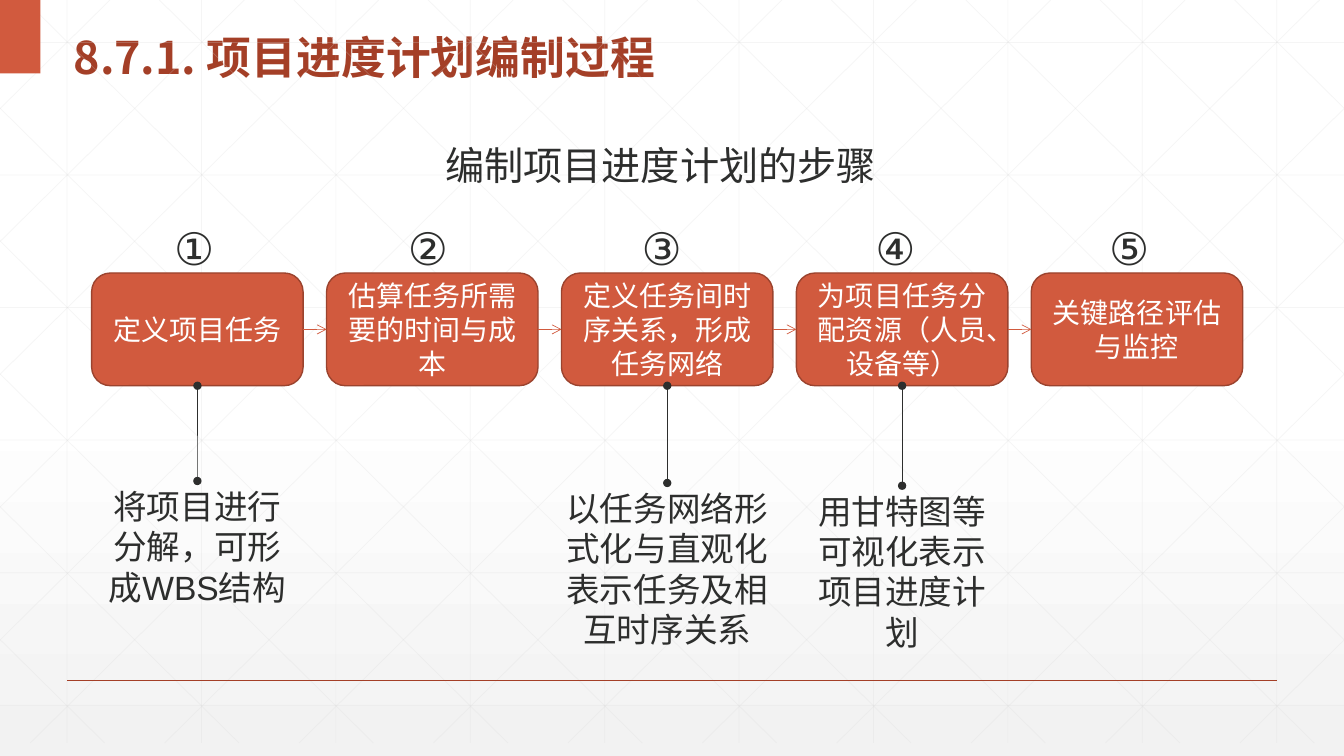
from dataclasses import dataclass

from lxml.etree import SubElement
from pptx import Presentation
from pptx.dml.color import RGBColor as RGB
from pptx.enum.shapes import MSO_CONNECTOR as LineKind, MSO_SHAPE as Shape
from pptx.enum.text import MSO_ANCHOR as Anchor, MSO_AUTO_SIZE as AutoSize, PP_ALIGN as Align
from pptx.oxml.ns import qn
from pptx.util import Cm, Pt

TITLE = "8.7.1. 项目进度计划编制过程"
SUBTITLE = "编制项目进度计划的步骤"
STEPS = [
    ("①", "定义项目任务"),
    ("②", "估算任务所需要的时间与成本"),
    ("③", "定义任务间时序关系，形成任务网络"),
    ("④", "为项目任务分配资源（人员、设备等）"),
    ("⑤", "关键路径评估与监控"),
]
NOTES = [
    {"step": 0, "text": "将项目进行分解，可形成WBS结构", "top": 12.12, "width": 5.46, "height": 3.33},
    {"step": 2, "text": "以任务网络形式化与直观化表示任务及相互时序关系", "top": 12.17, "width": 5.87, "height": 4.37},
    {"step": 3, "text": "用甘特图等可视化表示项目进度计划", "top": 12.24, "width": 5.46, "height": 4.37},
]


@dataclass(frozen=True)
class Theme:
    accent: RGB = RGB.from_string("D15A3E")
    border: RGB = RGB.from_string("9B432E")
    heading: RGB = RGB.from_string("A43F27")
    ink: RGB = RGB.from_string("2D2E2D")
    white: RGB = RGB.from_string("FFFFFF")
    haze: RGB = RGB.from_string("F2F2F2")
    lattice: RGB = RGB.from_string("D9D9D9")
    latin: str = "Arial"
    cjk: str = "Noto Sans CJK SC"
    title: int = 32
    subtitle: int = 28
    number: int = 32
    step: int = 20
    note: int = 24


theme = Theme()
WIDTH, HEIGHT = 33.87, 19.05
LATTICE_HEIGHT, LATTICE_RUN = 18.72, 18.94
LATTICE_DX, LATTICE_DY = 3.387, 3.34
BOX_LEFT, BOX_TOP, BOX_W, BOX_H, BOX_PITCH = 2.31, 6.88, 5.33, 2.84, 5.92
NUM_LEFT, NUM_TOP, NUM_W, NUM_H, NUM_PITCH = 4.14, 5.44, 1.65, 1.63, 5.89


def add_line(shapes, start, end, color, width, head=None, tail=None, alpha=None):
    points = [Cm(v) for v in (*start, *end)]
    sp = shapes.add_connector(LineKind.STRAIGHT, *points)
    sp.line.color.rgb = color
    sp.line.width = Pt(width)
    ln = sp.line._ln
    if alpha:
        SubElement(ln.find(".//" + qn("a:srgbClr")), qn("a:alpha"), val=str(alpha * 1000))
    for tag, kind in (("a:headEnd", head), ("a:tailEnd", tail)):
        if kind:
            SubElement(ln, qn(tag), type=kind)
    SubElement(sp._element.spPr, qn("a:effectLst"))
    return sp


def write(tf, text, size, color, latin=theme.latin, cjk=theme.cjk, bold=False, align=Align.LEFT):
    p = tf.paragraphs[0]
    p.alignment = align
    r = p.add_run()
    r.text = text
    r.font.size = Pt(size)
    r.font.bold = bold
    r.font.color.rgb = color
    r.font.name = latin
    if cjk:
        SubElement(r.font._element, qn("a:ea"), typeface=cjk)
    return p


def add_text(s, box, text, size, color, wrap=True, **style):
    sp = s.shapes.add_textbox(*[Cm(v) for v in box])
    tf = sp.text_frame
    tf.word_wrap = wrap
    tf.auto_size = AutoSize.SHAPE_TO_FIT_TEXT
    write(tf, text, size, color, **style)
    return sp


def add_block(s, kind, box, border=None):
    sp = s.shapes.add_shape(kind, *[Cm(v) for v in box])
    sp.shadow.inherit = False
    sp.fill.solid()
    sp.fill.fore_color.rgb = theme.accent
    if border:
        sp.line.color.rgb = border
        sp.line.width = Pt(1)
    else:
        sp.line.fill.background()
    return sp


def clip(x, run):
    hits = sorted((-x / run, (WIDTH - x) / run))
    first, last = max(0, hits[0]), min(1, hits[1])
    return [(x + run * t, LATTICE_HEIGHT * t) for t in (first, last)]


def add_lattice(s):
    lines = []
    for i in range(10):
        x = 1.69 + i * LATTICE_DX
        lines.append([(x, 0), (x, LATTICE_HEIGHT)])
    for i in range(6):
        y = 1.07 + i * LATTICE_DY
        lines.append([(0, y), (WIDTH, y)])
    for i in range(15):
        lines.append(clip(0.63 + (i - 5) * LATTICE_DX, LATTICE_RUN))
        lines.append(clip(2.77 + i * LATTICE_DX, -LATTICE_RUN))
    group = s.shapes.add_group_shape()
    for start, end in lines:
        add_line(group.shapes, start, end, theme.lattice, 0.5, alpha=25)


def add_backdrop(s):
    fill = s.background.fill
    fill.gradient()
    fill.gradient_angle = 270
    for stop, color, position in zip(fill.gradient_stops, (theme.white, theme.haze), (0.53, 1)):
        stop.color.rgb = color
        stop.position = position
    add_lattice(s)
    add_line(s.shapes, (1.69, 17.15), (32.17, 17.15), theme.heading, 1)
    add_block(s, Shape.RECTANGLE, (0, 0, 1.02, 1.85))


def add_title(s):
    sp = s.shapes.title
    sp.left, sp.top, sp.width, sp.height = Cm(1.6), Cm(0.3), Cm(30.81), Cm(1.85)
    tf = sp.text_frame
    tf.vertical_anchor = Anchor.MIDDLE
    tf.auto_size = AutoSize.NONE
    p = write(tf, TITLE, theme.title, theme.heading, latin=theme.cjk, bold=True)
    p.line_spacing = 1.3


def add_steps(s):
    boxes = []
    for i, (number, text) in enumerate(STEPS):
        sp = add_block(s, Shape.ROUNDED_RECTANGLE,
                       (BOX_LEFT + i * BOX_PITCH, BOX_TOP, BOX_W, BOX_H), theme.border)
        tf = sp.text_frame
        tf.word_wrap = True
        tf.vertical_anchor = Anchor.MIDDLE
        write(tf, text, theme.step, theme.white, align=Align.CENTER)
        add_text(s, (NUM_LEFT + i * NUM_PITCH, NUM_TOP, NUM_W, NUM_H), number,
                 theme.number, theme.ink, wrap=False, cjk=None)
        boxes.append(sp)
    for before, after in zip(boxes, boxes[1:]):
        arrow = add_line(s.shapes, (0, 0), (0, 0), theme.accent, 0.5, tail="arrow")
        arrow.begin_connect(before, 3)
        arrow.end_connect(after, 1)
    return boxes


def add_notes(s, boxes):
    for note in NOTES:
        center = BOX_LEFT + note["step"] * BOX_PITCH + BOX_W / 2
        box = (center - note["width"] / 2, note["top"], note["width"], note["height"])
        sp = add_text(s, box, note["text"], theme.note, theme.ink, align=Align.CENTER)
        link = add_line(s.shapes, (0, 0), (0, 0), theme.ink, 0.5, head="oval", tail="oval")
        link.begin_connect(boxes[note["step"]], 2)
        link.end_connect(sp, 0)


def main():
    prs = Presentation()
    prs.slide_width, prs.slide_height = Cm(WIDTH), Cm(HEIGHT)
    s = prs.slides.add_slide(prs.slide_layouts[5])
    add_backdrop(s)
    add_title(s)
    add_text(s, (10.97, 3.43, 11.48, 1.45), SUBTITLE, theme.subtitle, theme.ink, wrap=False)
    add_notes(s, add_steps(s))
    prs.save("out.pptx")


if __name__ == "__main__":
    main()
